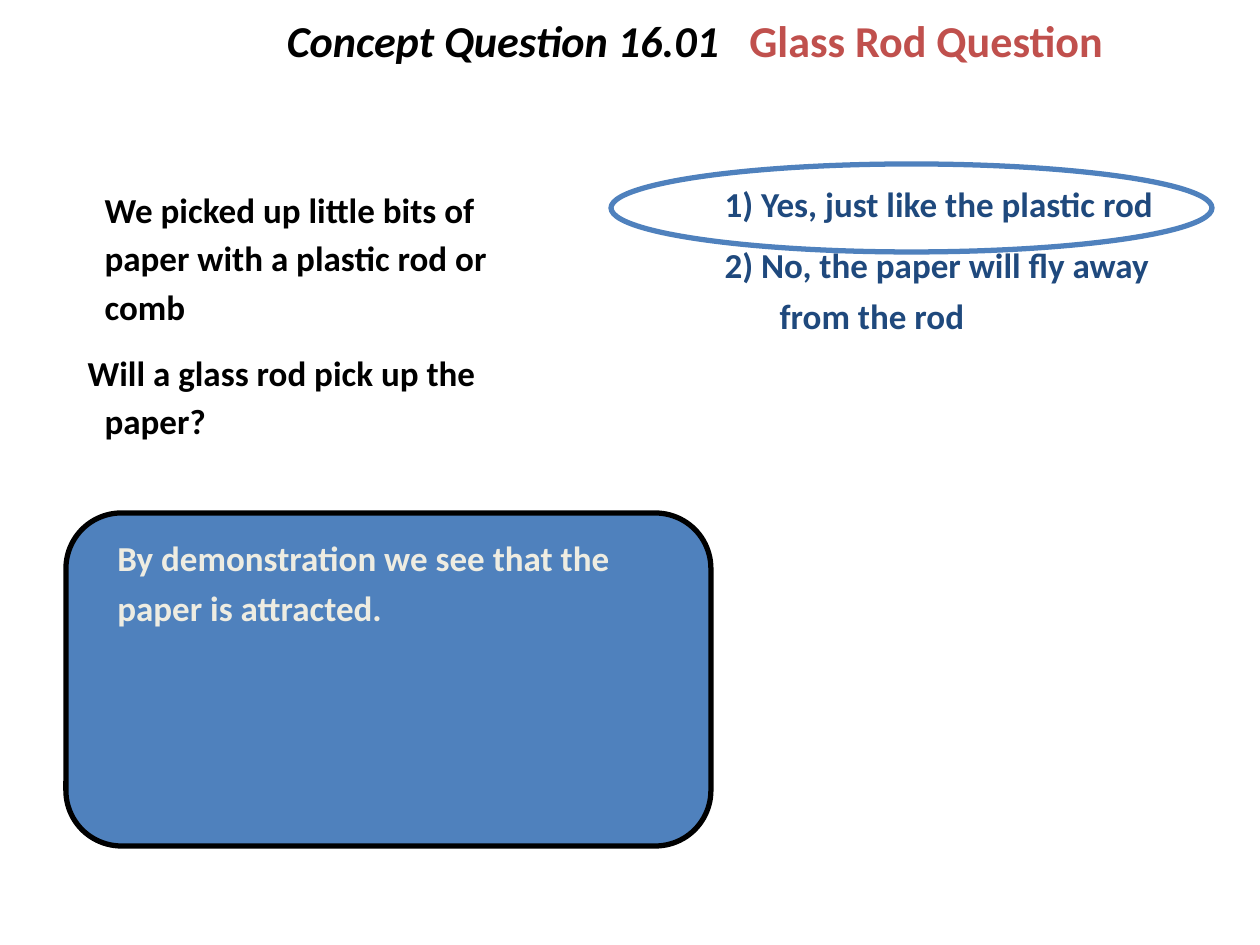
from lxml.etree import SubElement
from pptx import Presentation
from pptx.dml.color import RGBColor
from pptx.enum.shapes import MSO_SHAPE as Shape
from pptx.enum.text import MSO_ANCHOR as Anchor, MSO_AUTO_SIZE as AutoSize, PP_ALIGN as Align
from pptx.oxml.ns import qn
from pptx.util import Emu, Pt

PX = 914400 / 126


def px(*lengths):
    """Turn whole pixels into EMU lengths."""
    return [Emu(round(length * PX)) for length in lengths]


def color(hex_string):
    return RGBColor.from_string(hex_string)


presentation = Presentation()
presentation.slide_width, presentation.slide_height = px(1260, 945)
slide = presentation.slides.add_slide(presentation.slide_layouts[3])
title, question, answers = slide.placeholders

# Title
title.left, title.top, title.width, title.height = px(130, 0, 1130, 157)
title_frame = title.text_frame
title_frame.auto_size = AutoSize.NONE
title_frame.vertical_anchor = Anchor.TOP
title_frame.margin_top = px(13)[0]
paragraph = title_frame.paragraphs[0]
paragraph.alignment = Align.CENTER
for text, hex_string, italic in [
    ("Concept Question 16.01", "000000", True),
    (" ", "000000", True),
    ("Glass Rod Question", "C0504D", False),
]:
    run = paragraph.add_run()
    run.text = text
    run.font.name, run.font.size = "Calibri", Pt(25.2)
    run.font.bold, run.font.italic = True, italic
    run.font.color.rgb = color(hex_string)
    if text == " ":
        run.font._element.set("spc", "1150")  # widen the gap between the two parts

# Outcome panel and the ring around the right answer
panel = slide.shapes.add_shape(Shape.ROUNDED_RECTANGLE, *px(66, 513, 645, 333))
panel.fill.solid()
panel.fill.fore_color.rgb = color("4F81BD")
outcome = slide.shapes.add_textbox(*px(66, 522, 644, 113))
ring = slide.shapes.add_shape(Shape.OVAL, *px(611, 164, 601, 88))
ring.fill.background()
for shape, hex_string in [(panel, "000000"), (ring, "4F81BD")]:
    shape.shadow.inherit = False
    shape.line.color.rgb = color(hex_string)
    shape.line.width = Pt(3)

# Text blocks: shape, box, colour, line spacing, space before, (left margin, indent, text)
blocks = [
    (question, (37, 176, 539, 307), "000000", 1.15, 10, [
        (55, 0, "We picked up little bits of paper with a plastic rod or comb"),
        (55, -17, "Will a glass rod pick up the paper?"),
    ]),
    (answers, (712, 168, 484, 368), "1F497D", 1.2, 6, [
        (55, -55, "1) Yes, just like the plastic rod"),
        (55, -55, "2) No, the paper will fly away from the rod"),
    ]),
    (outcome, (66, 522, 644, 113), "EEECE1", 1.2, 0, [
        (39, 0, "By demonstration we see that the paper is attracted."),
    ]),
]
for shape, box, hex_string, line_spacing, space_before, lines in blocks:
    shape.left, shape.top, shape.width, shape.height = px(*box)
    text_frame = shape.text_frame
    text_frame.word_wrap = True
    text_frame.auto_size = AutoSize.NONE
    text_frame.text = "\n".join(text for _, _, text in lines)
    for index, (margin, indent, _) in enumerate(lines):
        paragraph = text_frame.paragraphs[index]
        paragraph.line_spacing = line_spacing
        paragraph.space_before = Pt(space_before if index else 0)
        properties = paragraph._p.get_or_add_pPr()
        properties.set("marL", str(px(margin)[0]))
        properties.set("indent", str(px(indent)[0]))
        SubElement(properties, qn("a:buNone"))
        font = paragraph.runs[0].font
        font.name, font.size, font.bold = "Calibri", Pt(20), True
        font.color.rgb = color(hex_string)

presentation.save("out.pptx")
